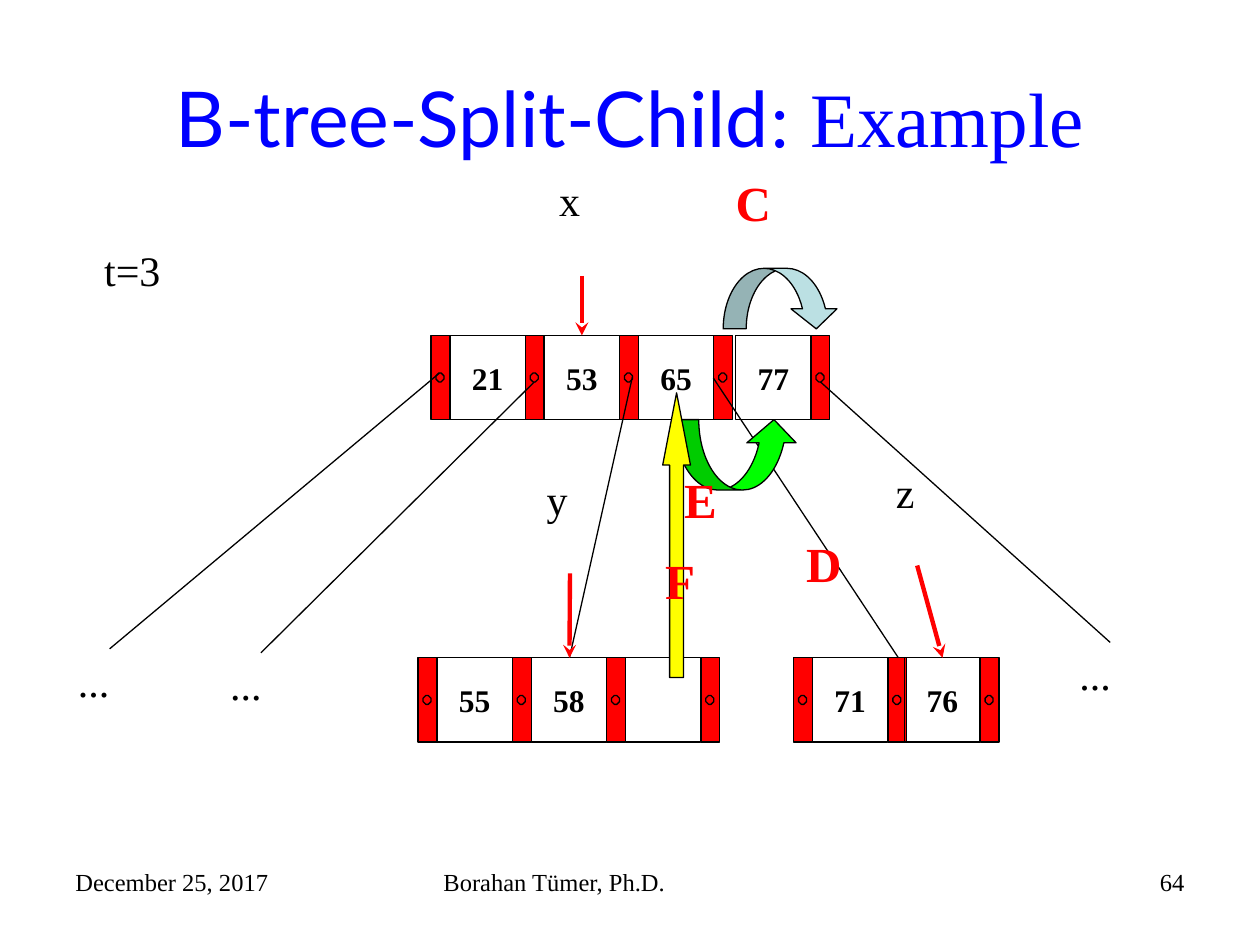
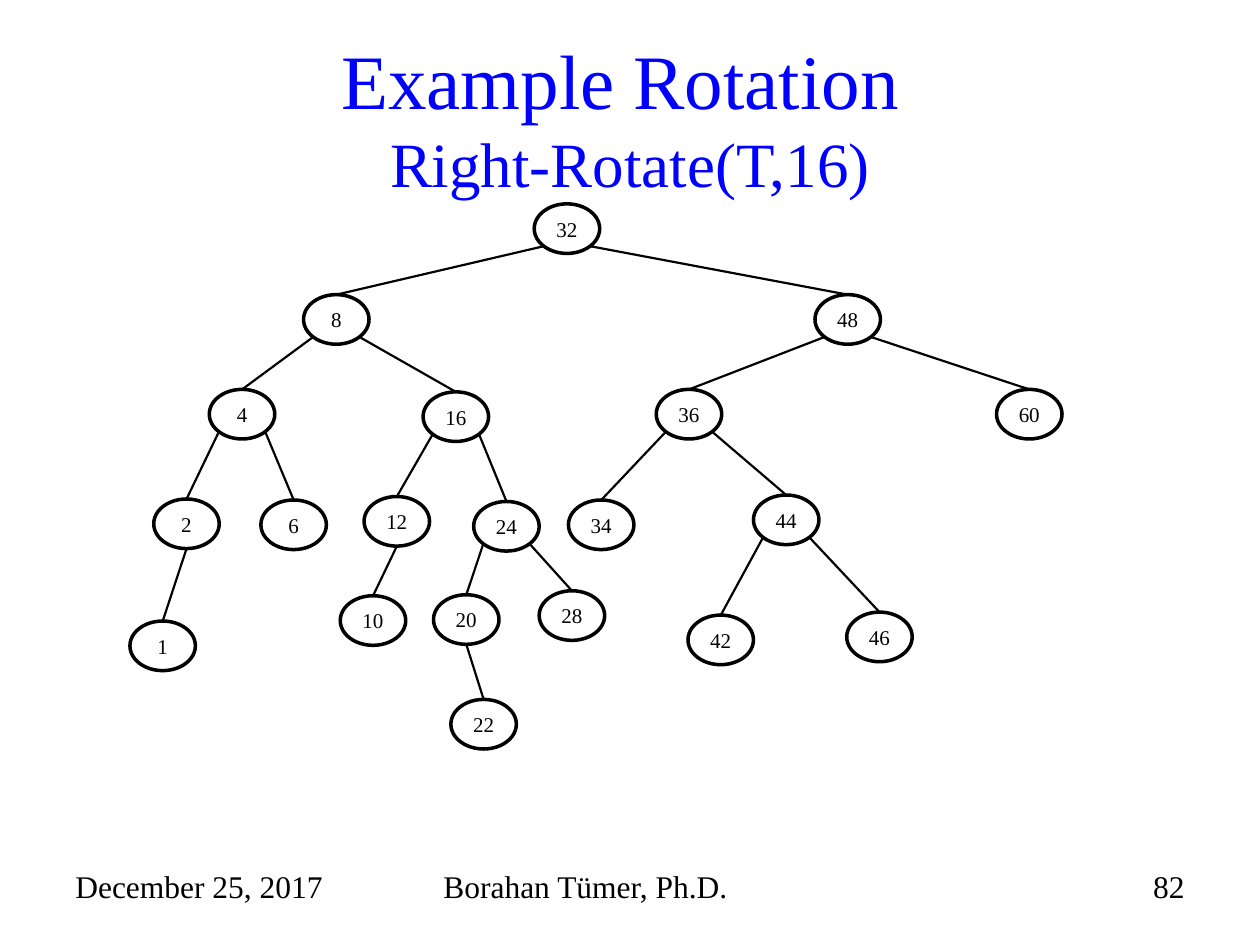
from dataclasses import dataclass
from math import cos, pi, sin

from lxml.etree import SubElement
from pptx import Presentation
from pptx.dml.color import RGBColor
from pptx.enum.shapes import MSO_CONNECTOR, MSO_SHAPE
from pptx.enum.text import MSO_ANCHOR, MSO_AUTO_SIZE, PP_ALIGN
from pptx.oxml.ns import qn
from pptx.util import Cm, Pt

BLACK = RGBColor(0x00, 0x00, 0x00)
BLUE = RGBColor(0x00, 0x00, 0xFF)
RED = RGBColor(0xFF, 0x00, 0x00)
PALE_TEAL = RGBColor(0xBB, 0xE0, 0xE3)
GREEN = RGBColor(0x00, 0xFF, 0x00)
YELLOW = RGBColor(0xFF, 0xFF, 0x00)

SERIF, SANS = "Times New Roman", "Lato"

# Sizes in centimetres
KEY_W, POINTER_W, CELL_H = 1.52, 0.38, 1.7
NODE_W, NODE_H = 1.32, 1.0


@dataclass
class BTreeNode:
    left: float
    top: float
    keys: tuple[str, ...]
    last_shift: float = 0


@dataclass
class Line:
    x1: float
    y1: float
    x2: float
    y2: float


@dataclass
class Label:
    text: str
    left: float
    top: float
    width: float


@dataclass
class BlockArrow:
    kind: MSO_SHAPE
    left: float
    top: float
    width: float
    height: float
    fill: RGBColor
    adjustments: tuple[float, ...]


@dataclass
class TreeNode:
    left: float
    top: float
    children: tuple[int, ...] = ()


# Shared drawing functions
def set_font(font, size: float, color: RGBColor = BLACK, bold: bool = False,
             name: str = SERIF) -> None:
    font.name, font.size, font.bold = name, Pt(size), bold
    font.color.rgb = color


def add_text(s, text: str, left: float, top: float, width: float, height: float,
             size: float, color: RGBColor = BLACK, bold: bool = False,
             align: PP_ALIGN = PP_ALIGN.LEFT, wrap: bool = True) -> None:
    tf = s.shapes.add_textbox(Cm(left), Cm(top), Cm(width), Cm(height)).text_frame
    tf.word_wrap = wrap
    tf.auto_size = MSO_AUTO_SIZE.NONE if wrap else MSO_AUTO_SIZE.SHAPE_TO_FIT_TEXT
    p = tf.paragraphs[0]
    p.text, p.alignment = text, align
    set_font(p.font, size, color, bold)


def add_shape(s, kind: MSO_SHAPE, left: float, top: float, width: float, height: float,
              fill: RGBColor | None = None, line_width: float = 0.75):
    sp = s.shapes.add_shape(kind, Cm(left), Cm(top), Cm(width), Cm(height))
    sp.shadow.inherit = False
    if fill is None:
        sp.fill.background()
    else:
        sp.fill.solid()
        sp.fill.fore_color.rgb = fill
    sp.line.color.rgb, sp.line.width = BLACK, Pt(line_width)
    return sp


def add_key(sp, key: str, size: float, bold: bool = False) -> None:
    tf = sp.text_frame
    tf.word_wrap = False
    tf.vertical_anchor = MSO_ANCHOR.MIDDLE
    tf.margin_left = tf.margin_right = tf.margin_top = tf.margin_bottom = 0
    p = tf.paragraphs[0]
    p.text, p.alignment = key, PP_ALIGN.CENTER
    set_font(p.font, size, bold=bold)


def add_line(s, line: Line, width: float, color: RGBColor = BLACK,
             arrow: bool = False) -> None:
    c = s.shapes.add_connector(MSO_CONNECTOR.STRAIGHT, Cm(line.x1), Cm(line.y1),
                               Cm(line.x2), Cm(line.y2))
    c.line.color.rgb, c.line.width = color, Pt(width)
    if arrow:
        SubElement(c.line._get_or_add_ln(), qn("a:tailEnd"), type="stealth")
    SubElement(c._element.spPr, qn("a:effectLst"))


def add_slide(prs, number: str, footer_size: float):
    """Add a slide with its footers and return it with the title paragraph."""
    s = prs.slides.add_slide(prs.slide_layouts[5])
    title = s.shapes.title
    title.left, title.top, title.width, title.height = Cm(1.27), Cm(0.76), Cm(22.86), Cm(3.18)
    tf = title.text_frame
    tf.auto_size = MSO_AUTO_SIZE.NONE
    tf.vertical_anchor = MSO_ANCHOR.MIDDLE
    p = tf.paragraphs[0]
    p.alignment = PP_ALIGN.CENTER
    for text, left, width, align in (
        ("December 25, 2017", 1.27, 5.92, PP_ALIGN.LEFT),
        ("Borahan Tümer, Ph.D.", 8.69, 8.05, PP_ALIGN.LEFT),
        (number, 18.21, 5.92, PP_ALIGN.RIGHT),
    ):
        add_text(s, text, left, 17.35, width, 1.32, footer_size, align=align)
    return s, p


def add_title_run(p, text: str, size: float, name: str = SERIF) -> None:
    r = p.add_run()
    r.text = text
    set_font(r.font, size, BLUE, name=name)


# B-tree split
B_TREE = (
    BTreeNode(8.69, 6.76, ("21", "53", "65", "77"), 0.06),
    BTreeNode(8.43, 13.26, ("55", "58", "")),
    BTreeNode(16.0, 13.26, ("71", "76"), -0.04),
)
BRANCHES = (
    Line(8.86, 7.52, 2.21, 13.08),
    Line(10.77, 7.7, 5.26, 13.16),
    Line(12.75, 7.59, 11.48, 13.26),
    Line(14.38, 7.62, 18.11, 13.26),
    Line(16.54, 7.7, 22.38, 12.95),
)
NODE_ARROWS = (
    Line(11.73, 5.56, 11.73, 6.76),
    Line(11.49, 11.56, 11.48, 13.26),
    Line(18.49, 11.4, 19.0, 13.26),
)
NAMES = (
    Label("x", 11.02, 3.4, 0.94),
    Label("y", 10.77, 9.42, 0.94),
    Label("z", 17.81, 9.27, 0.89),
    Label("t=3", 1.85, 4.8, 1.65),
    Label("...", 1.32, 13.08, 1.14),
    Label("...", 4.39, 13.16, 1.14),
    Label("...", 21.51, 12.95, 1.14),
)
STEPS = (
    Label("C", 14.58, 3.35, 1.22),
    Label("D", 16.0, 10.64, 1.22),
    Label("E", 13.54, 9.35, 1.17),
    Label("F", 13.16, 10.97, 1.12),
)
MOVES = (
    BlockArrow(MSO_SHAPE.CURVED_DOWN_ARROW, 14.58, 5.41, 2.34, 1.22, PALE_TEAL,
               (0.38, 0.76, 0.33)),
    BlockArrow(MSO_SHAPE.CURVED_UP_ARROW, 13.59, 8.46, 2.51, 1.42, GREEN,
               (0.35, 0.7, 0.33)),
    BlockArrow(MSO_SHAPE.UP_ARROW, 13.36, 7.92, 0.56, 5.74, YELLOW, (0.5, 2.6)),
)


def add_pointer(s, left: float, top: float) -> None:
    add_shape(s, MSO_SHAPE.RECTANGLE, left, top, POINTER_W, CELL_H, RED)
    dot = add_shape(s, MSO_SHAPE.OCTAGON, left + 0.1, top + 0.76, 0.16, 0.18, RED)
    dot.adjustments[0] = 0.35


def add_btree_node(s, node: BTreeNode) -> None:
    add_pointer(s, node.left, node.top)
    for i, key in enumerate(node.keys):
        left = node.left + POINTER_W + i * (KEY_W + POINTER_W)
        if i == len(node.keys) - 1:
            left += node.last_shift
        cell = add_shape(s, MSO_SHAPE.RECTANGLE, left, node.top, KEY_W, CELL_H)
        if key:
            add_key(cell, key, 18, bold=True)
        add_pointer(s, left + KEY_W, node.top)


def build_split_slide(prs) -> None:
    s, p = add_slide(prs, "64", 14)
    add_title_run(p, "B-tree-Split-Child", 44, SANS)
    add_title_run(p, ": Example", 44)
    for node in B_TREE:
        add_btree_node(s, node)
    for branch in BRANCHES:
        add_line(s, branch, 0.75)
    for arrow in NODE_ARROWS:
        add_line(s, arrow, 2.5, RED, arrow=True)
    for n in NAMES:
        add_text(s, n.text, n.left, n.top, n.width, 1.27, 24, wrap=False)
    for m in MOVES:
        sp = add_shape(s, m.kind, m.left, m.top, m.width, m.height, m.fill)
        for i, value in enumerate(m.adjustments):
            sp.adjustments[i] = value
    for n in STEPS:
        add_text(s, n.text, n.left, n.top, n.width, 1.45, 28, RED, bold=True, wrap=False)


# Binary tree after rotation
BINARY_TREE = {
    32: TreeNode(10.77, 4.11, (8, 48)),
    8: TreeNode(6.12, 5.94, (4, 16)),
    48: TreeNode(16.43, 5.94, (36, 60)),
    4: TreeNode(4.22, 7.85, (2, 6)),
    16: TreeNode(8.53, 7.9, (12, 24)),
    36: TreeNode(13.23, 7.85, (34, 44)),
    60: TreeNode(20.09, 7.85),
    2: TreeNode(3.1, 10.06, (1,)),
    6: TreeNode(5.26, 10.08),
    12: TreeNode(7.34, 10.01, (10,)),
    24: TreeNode(9.55, 10.11, (20, 28)),
    34: TreeNode(11.46, 10.08),
    44: TreeNode(15.19, 9.98, (42, 46)),
    1: TreeNode(2.62, 12.52),
    10: TreeNode(6.86, 12.01),
    20: TreeNode(8.74, 11.99, (22,)),
    28: TreeNode(10.87, 11.91),
    42: TreeNode(13.87, 12.4),
    46: TreeNode(17.07, 12.34),
    22: TreeNode(9.09, 14.1),
}


def add_edges(s, node: TreeNode) -> None:
    """Two children hang from the lower corners, an only child from the bottom."""
    angles = (3 * pi / 4, pi / 4) if len(node.children) == 2 else (pi / 2,)
    for angle, key in zip(angles, node.children):
        child = BINARY_TREE[key]
        x = node.left + NODE_W / 2 * (1 + cos(angle))
        y = node.top + NODE_H / 2 * (1 + sin(angle))
        add_line(s, Line(x, y, child.left + NODE_W / 2, child.top), 1.25)


def build_rotation_slide(prs) -> None:
    s, p = add_slide(prs, "82", 18)
    add_title_run(p, "Example Rotation ", 44)
    p.add_line_break()
    add_title_run(p, "Right-Rotate(T,16)", 36)
    for key, node in BINARY_TREE.items():
        sp = add_shape(s, MSO_SHAPE.OVAL, node.left, node.top, NODE_W, NODE_H, line_width=2)
        add_key(sp, str(key), 12)
        add_edges(s, node)


def main() -> None:
    prs = Presentation()
    prs.slide_width, prs.slide_height = Cm(25.4), Cm(19.05)
    build_split_slide(prs)
    build_rotation_slide(prs)
    prs.save("out.pptx")


if __name__ == "__main__":
    main()
